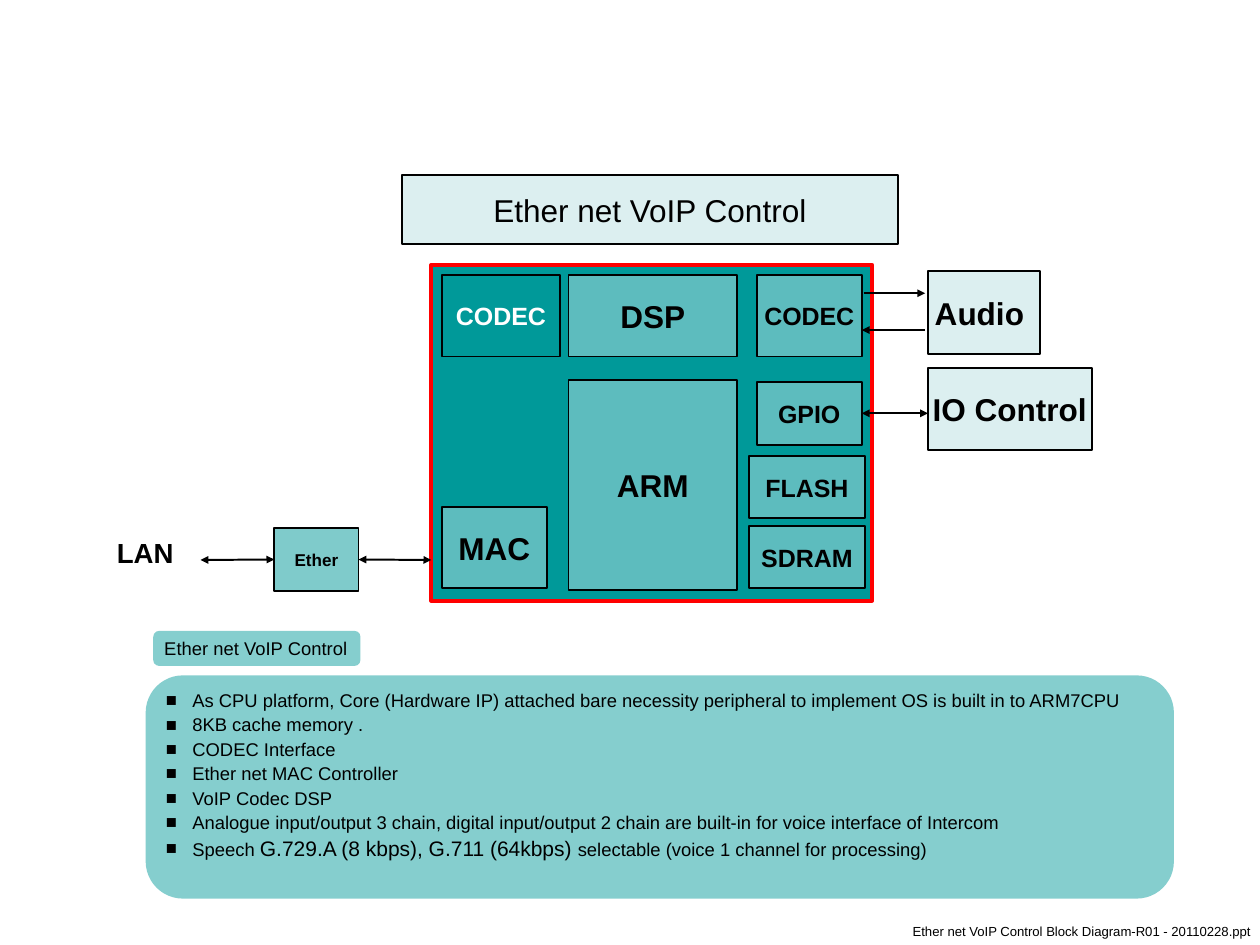
from dataclasses import dataclass

from lxml import etree
from pptx import Presentation
from pptx.dml.color import RGBColor
from pptx.enum.shapes import MSO_CONNECTOR, MSO_SHAPE
from pptx.enum.text import MSO_ANCHOR, PP_ALIGN
from pptx.oxml.ns import qn
from pptx.util import Inches, Pt

RECTANGLE = MSO_SHAPE.RECTANGLE
ROUNDED = MSO_SHAPE.FLOWCHART_ALTERNATE_PROCESS
STRAIGHT = MSO_CONNECTOR.STRAIGHT
CENTER, LEFT = PP_ALIGN.CENTER, PP_ALIGN.LEFT
MIDDLE, TOP = MSO_ANCHOR.MIDDLE, MSO_ANCHOR.TOP
LEFT_SIDE, RIGHT_SIDE = 1, 3

COLORS = {"teal": "009999", "pale": "BBE0E3", "frame": "FF0000",
          "ink": "000000", "white": "FFFFFF"}
FONT = "Arial"
CELL = 0.1  # inches in one grid column or row
COLUMNS, ROWS = 133.2, 99.9
BLOCK_INSETS = (0.13, 0.07, 0.13, 0.07)
NOTE_INSETS = (0.1, 0.05, 0.1, 0.05)

FEATURES = [
    [("As CPU platform, Core (Hardware IP) attached bare necessity peripheral "
      "to implement OS is built in to ARM7CPU", 14)],
    [("8KB cache memory .", 14)],
    [("CODEC Interface", 14)],
    [("Ether net MAC Controller", 14)],
    [("VoIP Codec DSP", 14)],
    [("Analogue input/output 3 chain, digital input/output 2 chain are "
      "built-in for voice interface of Intercom", 14)],
    [("Speech ", 14), ("G.729.A (8 kbps), G.711 (64kbps) ", 16),
     ("selectable (voice 1 channel for processing)", 14)],
]


@dataclass
class Box:
    """A rectangle in grid columns and rows."""
    left: float
    top: float
    width: float
    height: float

    def inner(self, column, row, width, height):
        return Box(self.left + column, self.top + row, width, height)

    def lengths(self):
        return [grid(n) for n in (self.left, self.top, self.width, self.height)]


def grid(count):
    return Inches(round(count * CELL, 2))


def color(name):
    return RGBColor.from_string(COLORS[name])


def add_span(para, text, size, bold=False, ink="ink"):
    span = para.add_run()
    span.text = text
    span.font.name = FONT
    span.font.size = Pt(size)
    span.font.bold = bold
    span.font.color.rgb = color(ink)


def set_frame(shape, insets, anchor=MIDDLE, wrap=False):
    frame = shape.text_frame
    frame.word_wrap = wrap
    frame.vertical_anchor = anchor
    (frame.margin_left, frame.margin_top,
     frame.margin_right, frame.margin_bottom) = map(Inches, insets)
    return frame


def add_shape(page, kind, box, fill, alpha=100, line=None, line_width=1.5):
    shape = page.shapes.add_shape(kind, *box.lengths())
    shape.shadow.inherit = False
    shape.fill.solid()
    shape.fill.fore_color.rgb = color(fill)
    if alpha < 100:
        tint = shape.element.spPr.find(qn("a:solidFill"))[0]
        etree.SubElement(tint, qn("a:alpha")).set("val", str(alpha * 1000))
    if line:
        shape.line.color.rgb = color(line)
        shape.line.width = Pt(line_width)
    else:
        shape.line.fill.background()
    return shape


def add_block(page, box, text, size, fill="pale", bold=True, ink="ink"):
    block = add_shape(page, RECTANGLE, box, fill, 50, "ink")
    para = set_frame(block, BLOCK_INSETS).paragraphs[0]
    para.alignment = CENTER
    add_span(para, text, size, bold, ink)
    return block


def add_label(page, box, text, size, insets, align, bold=False, wrap=False):
    label = page.shapes.add_textbox(*box.lengths())
    para = set_frame(label, insets, TOP, wrap).paragraphs[0]
    para.alignment = align
    add_span(para, text, size, bold)


def add_arrow(page, start, end, row, both=False):
    """Draw a level arrow from column start to column end."""
    arrow = page.shapes.add_connector(STRAIGHT, grid(start), grid(row),
                                      grid(end), grid(row))
    arrow.line.color.rgb = color("ink")
    arrow.line.width = Pt(1.5)
    props = arrow.element.spPr
    line = props.find(qn("a:ln"))
    for tag in ("a:headEnd", "a:tailEnd") if both else ("a:tailEnd",):
        etree.SubElement(line, qn(tag)).set("type", "triangle")
    etree.SubElement(props, qn("a:effectLst"))
    return arrow


def draw_chip(page, box):
    """Draw the framed chip and return its GPIO block."""
    add_shape(page, RECTANGLE, box, "teal", line="frame", line_width=3)
    add_block(page, box.inner(1.1, 1.1, 12.5, 8.6), "CODEC", 19, "teal", ink="white")
    add_block(page, box.inner(1.1, 25.6, 11.1, 8.6), "MAC", 24)
    add_block(page, box.inner(14.5, 1.1, 17.8, 8.6), "DSP", 24)
    add_block(page, box.inner(14.5, 12.2, 17.8, 22.2), "ARM", 24)
    add_block(page, box.inner(34.4, 1.1, 11.1, 8.6), "CODEC", 19)
    for index, memory in enumerate(("FLASH", "SDRAM")):
        add_block(page, box.inner(33.6, 20.2 + 7.4 * index, 12.2, 6.6), memory, 19)
    return add_block(page, box.inner(34.4, 12.4, 11.1, 6.6), "GPIO", 19)


def draw_network(page, box):
    """Draw the LAN side; the box ends at the chip's left edge."""
    add_label(page, box.inner(0, 0.2, 8.7, 4.8), "LAN", 21, BLOCK_INSETS, CENTER, True)
    ether = add_block(page, box.inner(18, 0, 8.9, 6.7), "Ether", 13, "teal")
    row = box.top + 3.35
    to_chip = add_arrow(page, box.left + 26.9, box.left + box.width, row, True)
    to_chip.begin_connect(ether, RIGHT_SIDE)
    to_lan = add_arrow(page, box.left + 18, box.left + 10.2, row, True)
    to_lan.begin_connect(ether, LEFT_SIDE)


def draw_peripherals(page, box, gpio):
    """Draw audio and IO; the box starts at the chip blocks' right edge."""
    add_block(page, box.inner(7, 0, 11.8, 8.7), "Audio ", 24)
    add_block(page, box.inner(7, 10.2, 17.3, 8.7), "IO Control", 24)
    add_arrow(page, box.left + 0.2, box.left + 6.7, box.top + 2.3)
    add_arrow(page, box.left + 6.7, box.left, box.top + 6.2)
    to_io = add_arrow(page, box.left, box.left + 7, box.top + 15, True)
    to_io.begin_connect(gpio, RIGHT_SIDE)


def add_bullet(para):
    props = para._p.get_or_add_pPr()
    props.set("marL", str(Inches(0.28)))
    props.set("indent", str(-Inches(0.28)))
    tint = etree.SubElement(props, qn("a:buClr"))
    etree.SubElement(tint, qn("a:srgbClr")).set("val", COLORS["ink"])
    etree.SubElement(props, qn("a:buFont")).set("typeface", FONT)
    etree.SubElement(props, qn("a:buChar")).set("char", "■")


def draw_summary(page, box):
    panel = add_shape(page, ROUNDED, box.inner(0, 4.7, box.width, 23.6), "teal", 48)
    frame = set_frame(panel, (0.1, 0.05, 0.1, 0.28), wrap=True)
    for index, feature in enumerate(FEATURES):
        para = frame.add_paragraph() if index else frame.paragraphs[0]
        para.alignment = LEFT
        para.line_spacing = 0.9
        para.space_before = Pt(3.5 if index else 0)
        add_bullet(para)
        for text, size in feature:
            add_span(para, text, size)
    heading = add_shape(page, ROUNDED, box.inner(0.8, 0, 21.9, 3.7), "teal", 48)
    para = set_frame(heading, NOTE_INSETS, wrap=True).paragraphs[0]
    para.alignment = LEFT
    add_span(para, "Ether net VoIP Control", 14)


def main():
    deck = Presentation()
    deck.slide_width, deck.slide_height = grid(COLUMNS), grid(ROWS)
    page = deck.slides.add_slide(deck.slide_layouts[6])
    add_block(page, Box(42.5, 18.5, 52.4, 7.3), "Ether net VoIP Control", 24, bold=False)
    gpio = draw_chip(page, Box(45.6, 28, 46.6, 35.5))
    draw_network(page, Box(11, 55.8, 34.6, 6.7))
    draw_peripherals(page, Box(91.1, 28.7, 24.3, 18.9), gpio)
    draw_summary(page, Box(15.4, 66.7, 108.7, 28.3))
    add_label(page, Box(95.5, 97.1, 37.7, 2.7),
              "Ether net VoIP Control Block Diagram-R01 - 20110228.ppt",
              10, (0.1, 0.05, 0, 0.05), LEFT, wrap=True)
    deck.save("out.pptx")


if __name__ == "__main__":
    main()
